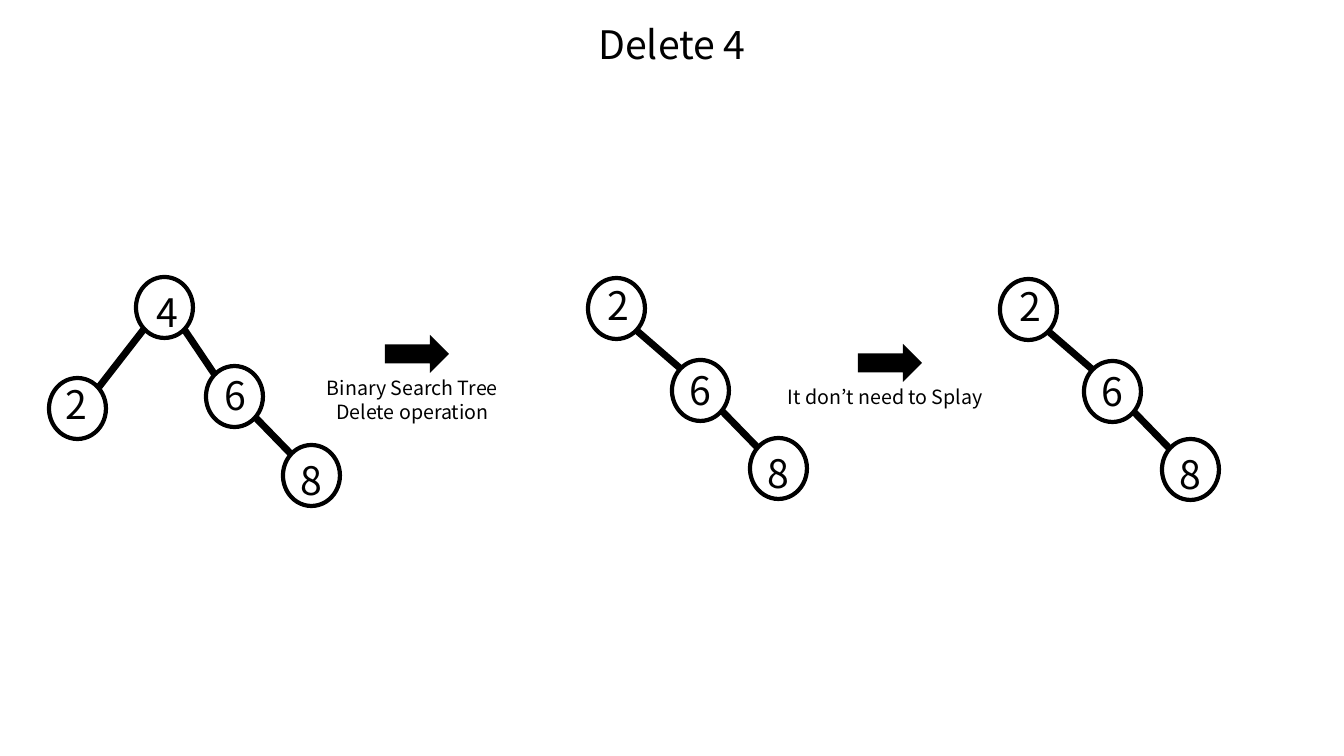
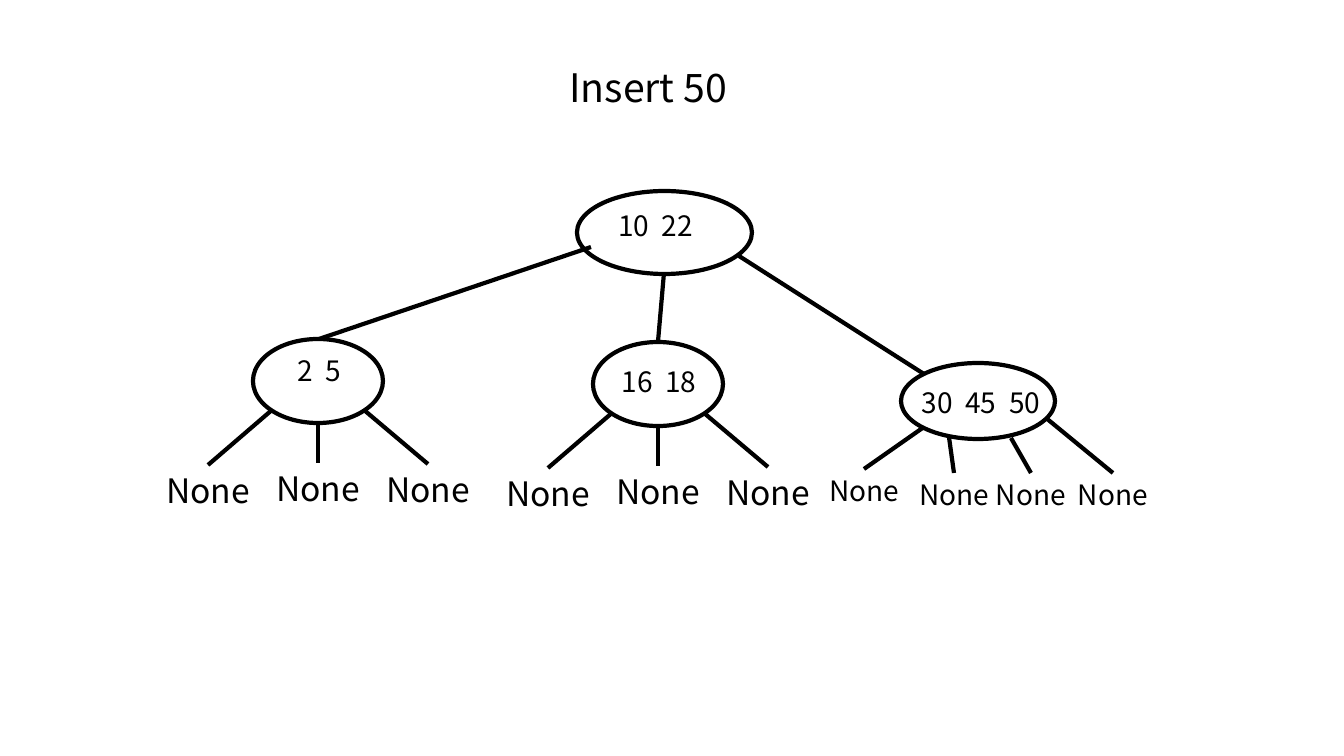
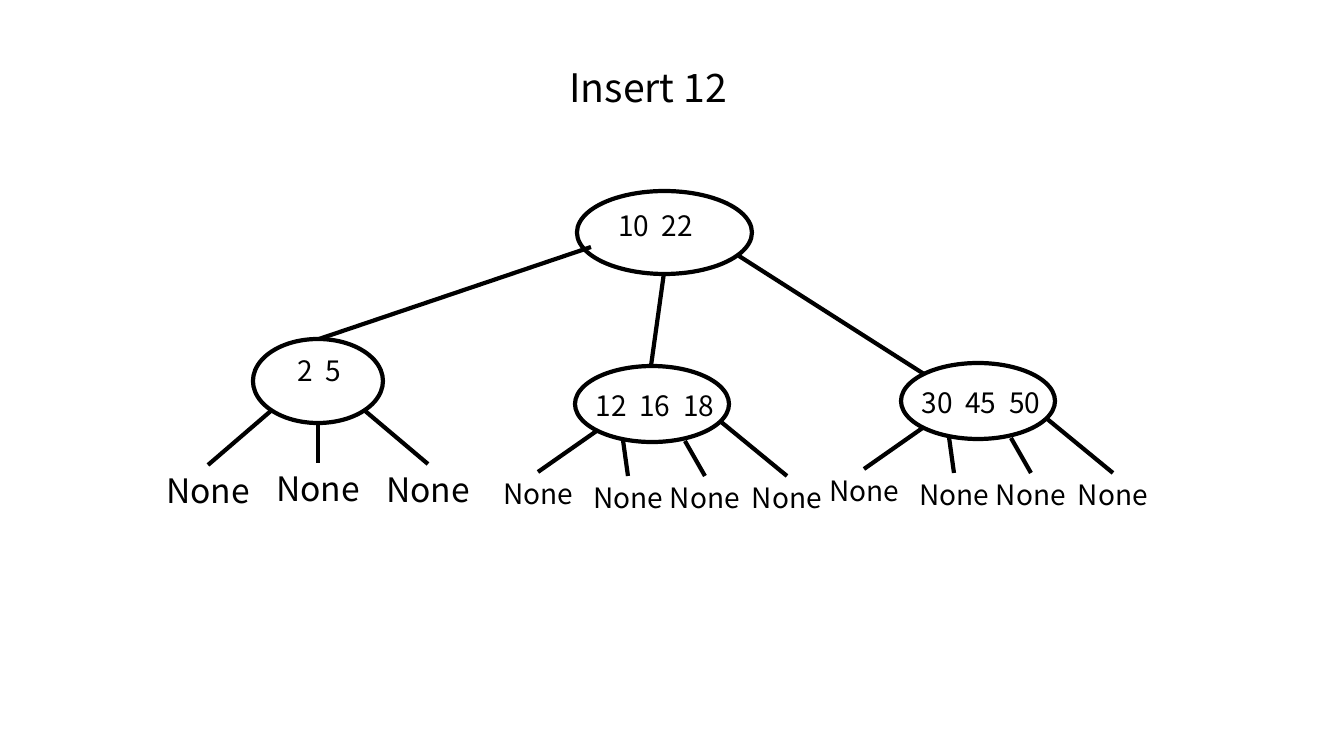
import pptx
import pptx.util
import pptx.dml.color
import pptx.enum.shapes
import pptx.enum.text
import pptx.oxml.ns
import lxml.etree

SCALE = 914400 / 100.8
FONT = "Noto Sans CJK KR"
INK = "000000"
SHAPES = pptx.enum.shapes.MSO_SHAPE

DELETE_TITLE = ("Delete 4", (532, 15, 280, 57))
INSERT_TITLE_AREA = (277, 58, 751, 57)

CIRCLE = (57, 61)
# label, left, top, label shift x, label shift y, label width
FULL_TREE = {
    "nodes": [("4", 87, 0, -1, 6, 65), ("2", 0, 101, -5, -3, 65),
              ("6", 157, 89, -3, 0, 65), ("8", 234, 168, -4, 6, 65)],
    "edges": [(50, 110, 95, 52), (166, 98, 135, 52), (206, 140, 242, 177)],
}
CHAIN = {
    "nodes": [("2", 0, 0, 8, -2, 44), ("6", 84, 82, 6, 1, 45),
              ("8", 162, 160, -4, 6, 65)],
    "edges": [(93, 91, 48, 52), (134, 133, 170, 170)],
}
DELETE_STEPS = [(FULL_TREE, 49, 277), (CHAIN, 588, 278), (CHAIN, 1000, 279)]
ARROWS = [
    (385, 335, ["Binary Search Tree", "Delete operation"]),
    (858, 344, ["It don\u2019t need to Splay"]),
]

THREE_WAY = {
    "oval": (130, 84), "keys_left": 0, "keys_width": 132,
    "leaf_size": 24, "leaf_height": 50,
    "branches": [(19, 71, -45, 126, 106), (65, 83, 65, 124, 106),
                 (111, 71, 175, 125, 106)],
}
FOUR_WAY = {
    "oval": (154, 76), "keys_left": -9, "keys_width": 178,
    "leaf_size": 20, "leaf_height": 44,
    "branches": [(23, 64, -37, 106, 100), (48, 74, 53, 110, 94),
                 (110, 75, 130, 110, 102), (145, 55, 212, 110, 102)],
}
ROOT_OVAL = (577, 191, 175, 83)
ROOT_KEYS = ("10  22", (539, 204, 233, 63))
LEFT_CHILD = (THREE_WAY, "2  5", 253, 339, 10, 63)
RIGHT_CHILD = (FOUR_WAY, "30  45  50", 901, 363, 18, 44)
INSERT_SLIDES = [
    ("Insert 50 ", (THREE_WAY, "16  18", 593, 342, 18, 44), (658, 342)),
    ("Insert 12 ", (FOUR_WAY, "12  16  18", 575, 366, 18, 44), (651, 366)),
]


def emu(*pixels):
    return [pptx.util.Emu(round(value * SCALE)) for value in pixels]


def color(value):
    return pptx.dml.color.RGBColor.from_string(value)


def write_text(box, lines, size, fill=INK):
    frame = box.text_frame
    frame.word_wrap = True
    frame.auto_size = pptx.enum.text.MSO_AUTO_SIZE.SHAPE_TO_FIT_TEXT
    frame.vertical_anchor = pptx.enum.text.MSO_ANCHOR.TOP
    for index, line in enumerate(lines):
        para = frame.add_paragraph() if index else frame.paragraphs[0]
        para.alignment = pptx.enum.text.PP_ALIGN.CENTER
        span = para.add_run()
        span.text = line
        span.font.name = FONT
        span.font.size = pptx.util.Pt(size)
        span.font.color.rgb = color(fill)


def add_text(page, area, lines, size):
    write_text(page.shapes.add_textbox(*emu(*area)), lines, size)


def add_oval(page, area):
    oval = page.shapes.add_shape(SHAPES.OVAL, *emu(*area))
    oval.shadow.inherit = False
    oval.fill.background()
    oval.line.color.rgb = color(INK)
    oval.line.width = pptx.util.Pt(3)


def add_line(page, ends, width):
    line = page.shapes.add_connector(
        pptx.enum.shapes.MSO_CONNECTOR.STRAIGHT, *emu(*ends))
    line.line.color.rgb = color(INK)
    line.line.width = pptx.util.Pt(width)
    lxml.etree.SubElement(line._element.spPr, pptx.oxml.ns.qn("a:effectLst"))


def add_page(deck, title, area):
    page = deck.slides.add_slide(deck.slide_layouts.get_by_name("Title Only"))
    box = page.shapes.title
    box.left, box.top, box.width, box.height = emu(*area)
    write_text(box, [title], 28)
    return page


def add_binary_tree(page, tree, left, top):
    for label, x, y, shift_x, shift_y, width in tree["nodes"]:
        x, y = left + x, top + y
        add_oval(page, (x, y, *CIRCLE))
        add_text(page, (x + shift_x, y + shift_y, width, 57), [label], 28)
    for x1, y1, x2, y2 in tree["edges"]:
        add_line(page, (left + x1, top + y1, left + x2, top + y2), 5)


def add_arrow(page, left, top, caption):
    arrow = page.shapes.add_shape(SHAPES.RIGHT_ARROW, *emu(left, top, 64, 38))
    arrow.shadow.inherit = False
    arrow.fill.solid()
    arrow.fill.fore_color.rgb = color(INK)
    arrow.line.fill.background()
    add_text(page, (left - 86, top + 36, 227, 57), caption, 14)


def add_search_node(page, kind, keys, left, top, keys_top, keys_height):
    add_oval(page, (left, top, *kind["oval"]))
    add_text(page, (left + kind["keys_left"], top + keys_top,
                    kind["keys_width"], keys_height), [keys], 20)
    for x1, y1, x2, y2, width in kind["branches"]:
        end_x, end_y = left + x2, top + y2
        add_line(page, (left + x1, top + y1, end_x, end_y), 3)
        add_text(page, (end_x - width / 2, end_y, width, kind["leaf_height"]),
                 ["None"], kind["leaf_size"])


deck = pptx.Presentation()
deck.slide_width, deck.slide_height = emu(1344, 756)

page = add_page(deck, *DELETE_TITLE)
for arrow in ARROWS:
    add_arrow(page, *arrow)
for step in DELETE_STEPS:
    add_binary_tree(page, *step)

for title, middle_child, middle_end in INSERT_SLIDES:
    page = add_page(deck, title, INSERT_TITLE_AREA)
    add_oval(page, ROOT_OVAL)
    add_text(page, ROOT_KEYS[1], [ROOT_KEYS[0]], 20)
    for link in [(591, 247, 319, 339), (664, 273, *middle_end),
                 (739, 256, 924, 374)]:
        add_line(page, link, 3)
    for child in (LEFT_CHILD, middle_child, RIGHT_CHILD):
        add_search_node(page, *child)

deck.save("out.pptx")
